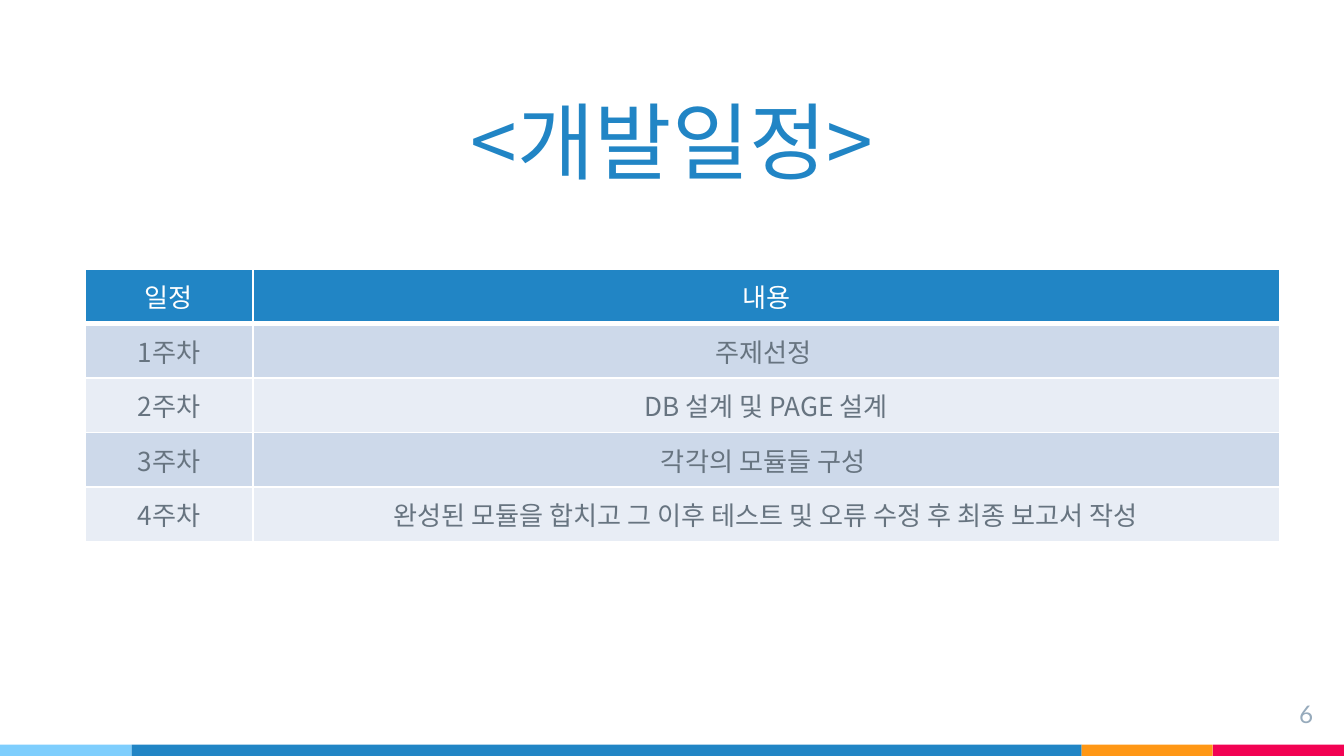
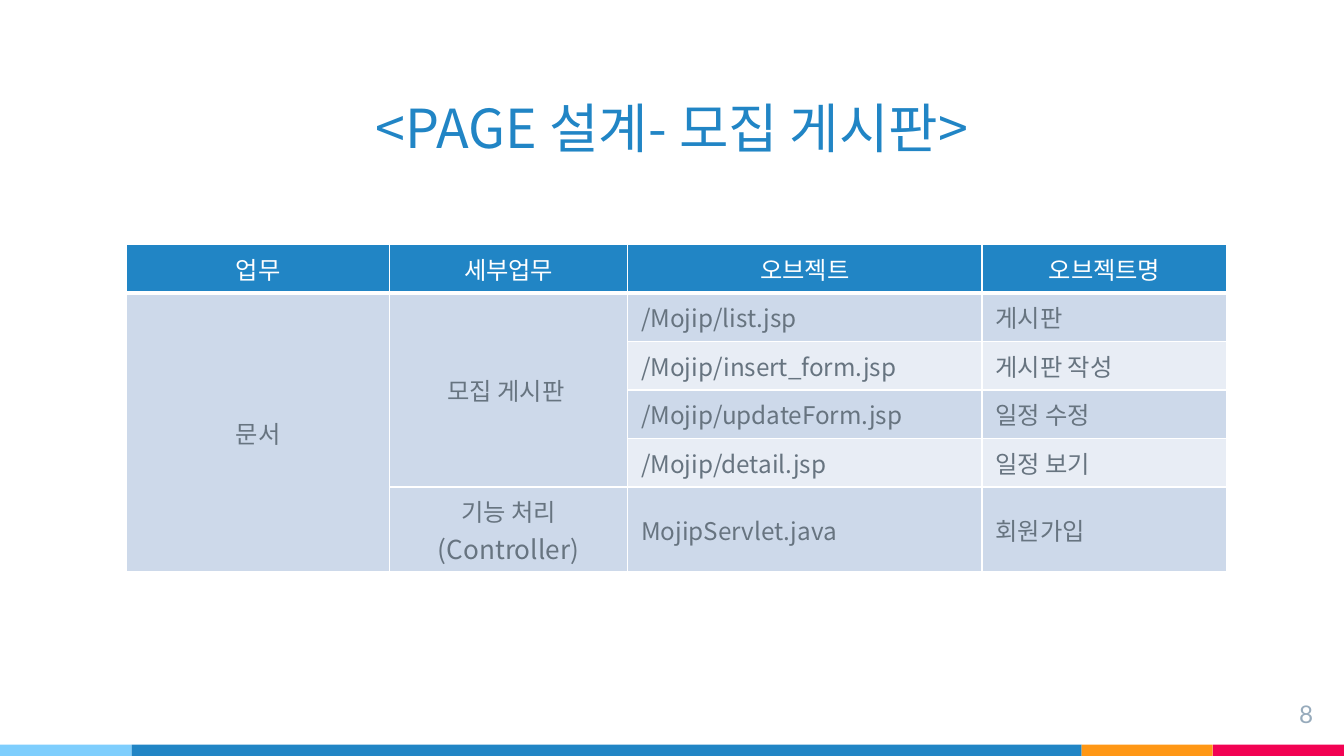
from dataclasses import dataclass
from itertools import accumulate

from lxml.etree import SubElement
from pptx import Presentation
from pptx.dml.color import RGBColor
from pptx.enum.shapes import MSO_SHAPE
from pptx.enum.text import MSO_ANCHOR, MSO_AUTO_SIZE, PP_ALIGN
from pptx.oxml.ns import qn
from pptx.util import Pt


@dataclass(frozen=True)
class Theme:
    blue: str = "2185C5"
    sky: str = "7ECEFD"
    orange: str = "FF9715"
    pink: str = "F20253"
    white: str = "FFFFFF"
    text: str = "677480"
    page_number: str = "97ABBC"
    dark_row: str = "CDD9EA"
    light_row: str = "E8EDF5"
    korean_font: str = "Noto Sans CJK KR"
    number_font: str = "Lato"
    large_title: float = 45
    small_title: float = 28.8
    large_cell: float = 14
    small_cell: float = 13
    number_size: float = 13


@dataclass(frozen=True)
class Band:
    width: float
    color: str


@dataclass(frozen=True)
class Title:
    text: str
    top: float
    height: float
    size: float


@dataclass(frozen=True)
class Grid:
    left: float
    top: float
    widths: tuple[float, ...]
    heights: tuple[float, ...]
    rows: tuple[tuple[str, ...], ...]
    size: float
    left_aligned: tuple[int, ...] = ()
    merges: tuple[tuple[int, int, int, int], ...] = ()


THEME = Theme()
SLIDE_WIDTH = 720
SLIDE_HEIGHT = 405
BAND_HEIGHT = 6
BANDS = (
    Band(70.5, THEME.sky),
    Band(509, THEME.blue),
    Band(70.25, THEME.orange),
    Band(70.25, THEME.pink),
)

SCHEDULE = Grid(
    left=45.5,
    top=144,
    widths=(90, 550),
    heights=(29.25,) * 5,
    rows=(
        ("일정", "내용"),
        ("1주차", "주제선정 "),
        ("2주차", "DB 설계 및 PAGE 설계"),
        ("3주차", "각각의 모듈들 구성 "),
        ("4주차", "완성된 모듈을 합치고 그 이후 테스트 및 오류 수정 후 최종 보고서 작성"),
    ),
    size=THEME.large_cell,
)

PAGE_DESIGN = Grid(
    left=67.75,
    top=131,
    widths=(141, 127.5, 190, 131),
    heights=(26,) * 5 + (45.5,),
    rows=(
        ("업무", "세부업무", "오브젝트", "오브젝트명"),
        ("문서", "모집 게시판 ", "/Mojip/list.jsp", "게시판"),
        ("", "", "/Mojip/insert_form.jsp", "게시판 작성"),
        ("", "", "/Mojip/updateForm.jsp", "일정 수정"),
        ("", "", "/Mojip/detail.jsp", "일정 보기"),
        ("", "기능 처리\n(Controller)", "MojipServlet.java", "회원가입"),
    ),
    size=THEME.small_cell,
    left_aligned=(2, 3),
    merges=((1, 0, 5, 0), (1, 1, 4, 1)),
)


def format_paragraph(paragraph, size: float, color: str, alignment, font_name: str = THEME.korean_font) -> None:
    paragraph.alignment = alignment
    font = paragraph.font
    font.size = Pt(size)
    font.bold = False
    font.color.rgb = RGBColor.from_string(color)
    font.name = font_name
    defaults = paragraph._p.pPr.find(qn("a:defRPr"))
    SubElement(defaults, qn("a:ea")).set("typeface", font_name)


def add_bands(slide, layout) -> None:
    ends = accumulate(band.width for band in BANDS)
    for band, end in zip(BANDS, ends):
        shape = slide.shapes.add_shape(
            MSO_SHAPE.RECTANGLE,
            Pt(end - band.width), Pt(SLIDE_HEIGHT - BAND_HEIGHT), Pt(band.width), Pt(BAND_HEIGHT),
        )
        shape.shadow.inherit = False
        shape.fill.solid()
        shape.fill.fore_color.rgb = RGBColor.from_string(band.color)
        shape.line.fill.background()
        layout.shapes._spTree.append(shape._element)


def add_page_number(slide, number: int) -> None:
    box = slide.shapes.add_textbox(Pt(667.5), Pt(370), Pt(43), Pt(24.5))
    frame = box.text_frame
    frame.word_wrap = True
    frame.margin_left = frame.margin_right = frame.margin_top = frame.margin_bottom = Pt(7.2)
    frame.vertical_anchor = MSO_ANCHOR.MIDDLE
    frame.text = str(number)
    format_paragraph(frame.paragraphs[0], THEME.number_size, THEME.page_number, PP_ALIGN.RIGHT, THEME.number_font)


def set_title(slide, title: Title) -> None:
    shape = slide.shapes.title
    shape.left, shape.top = Pt(0), Pt(title.top)
    shape.width, shape.height = Pt(SLIDE_WIDTH), Pt(title.height)
    frame = shape.text_frame
    frame.auto_size = MSO_AUTO_SIZE.NONE
    frame.vertical_anchor = MSO_ANCHOR.MIDDLE
    frame.text = title.text
    format_paragraph(frame.paragraphs[0], title.size, THEME.blue, PP_ALIGN.CENTER)


def set_borders(cell, is_header: bool) -> None:
    properties = cell._tc.get_or_add_tcPr()
    for index, side in enumerate(("lnL", "lnR", "lnT", "lnB")):
        width = 3 if is_header and side == "lnB" else 1
        line = properties.makeelement(qn(f"a:{side}"), {"w": str(Pt(width))})
        fill = SubElement(line, qn("a:solidFill"))
        SubElement(fill, qn("a:srgbClr")).set("val", THEME.white)
        properties.insert(index, line)


def add_grid(slide, grid: Grid):
    table = slide.shapes.add_table(
        len(grid.heights), len(grid.widths),
        Pt(grid.left), Pt(grid.top), Pt(sum(grid.widths)), Pt(sum(grid.heights)),
    ).table
    for column, width in zip(table.columns, grid.widths):
        column.width = Pt(width)
    for row, height in zip(table.rows, grid.heights):
        row.height = Pt(height)
    for row_index, texts in enumerate(grid.rows):
        is_header = row_index == 0
        row_color = THEME.dark_row if row_index % 2 else THEME.light_row
        for column_index, text in enumerate(texts):
            cell = table.cell(row_index, column_index)
            cell.fill.solid()
            cell.fill.fore_color.rgb = RGBColor.from_string(THEME.blue if is_header else row_color)
            cell.vertical_anchor = MSO_ANCHOR.MIDDLE
            set_borders(cell, is_header)
            cell.text = text
            is_left = column_index in grid.left_aligned and not is_header
            for paragraph in cell.text_frame.paragraphs:
                format_paragraph(
                    paragraph, grid.size,
                    THEME.white if is_header else THEME.text,
                    PP_ALIGN.LEFT if is_left else PP_ALIGN.CENTER,
                )
    for top, left, bottom, right in grid.merges:
        table.cell(top, left).merge(table.cell(bottom, right))
    return table


def add_table_slide(presentation, layout, title: Title, grid: Grid, number: int):
    slide = presentation.slides.add_slide(layout)
    add_page_number(slide, number)
    set_title(slide, title)
    return slide, add_grid(slide, grid)


def main() -> None:
    presentation = Presentation()
    presentation.slide_width = Pt(SLIDE_WIDTH)
    presentation.slide_height = Pt(SLIDE_HEIGHT)
    layout = presentation.slide_layouts[5]

    schedule_title = Title("<개발일정>", 44, 62, THEME.large_title)
    schedule_slide, _ = add_table_slide(presentation, layout, schedule_title, SCHEDULE, 6)
    add_bands(schedule_slide, layout)

    design_title = Title("<PAGE 설계- 모집 게시판>", 47, 42, THEME.small_title)
    _, design_table = add_table_slide(presentation, layout, design_title, PAGE_DESIGN, 8)
    controller = design_table.cell(5, 1).text_frame.paragraphs[1]
    controller.font.size = Pt(THEME.large_cell)

    presentation.save("out.pptx")


if __name__ == "__main__":
    main()
